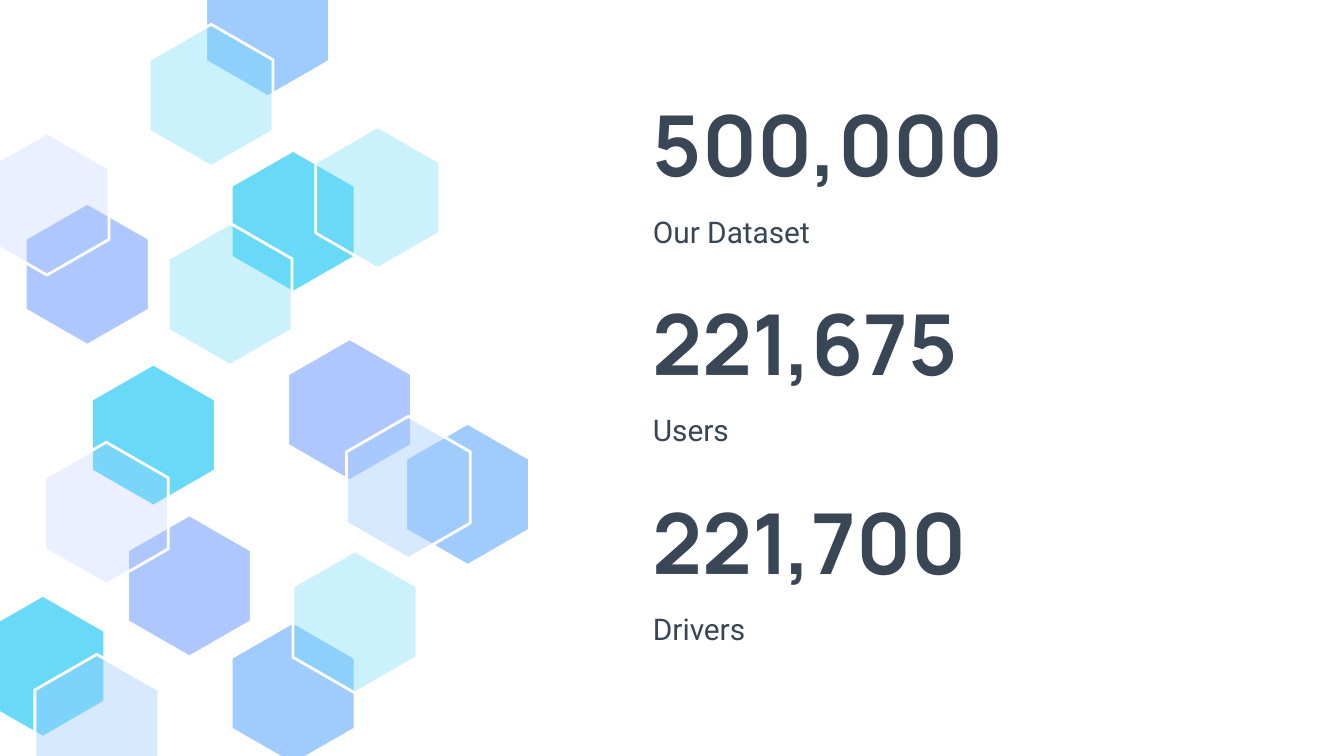
from collections import namedtuple

from lxml.etree import SubElement
from pptx import Presentation
from pptx.dml.color import RGBColor
from pptx.enum.text import MSO_ANCHOR as Anchor
from pptx.oxml.ns import qn
from pptx.util import Cm, Pt

WHITE = RGBColor(0xFF, 0xFF, 0xFF)
SLATE = RGBColor(0x38, 0x46, 0x55)
BLUE = RGBColor(0x9F, 0xCB, 0xFD)
PERIWINKLE = RGBColor(0xAF, 0xC7, 0xFF)
CYAN = RGBColor(0x68, 0xDA, 0xF8)

Box = namedtuple("Box", "left top width height")

# Opacity in percent of the see-through hexagons
TINTS = {BLUE: 41, PERIWINKLE: 25, CYAN: 34}
HEX_WIDTH, HEX_HEIGHT = 2.34, 2.69

# Left and top in cm, colour, see-through or not; from back to front
HEXAGONS = [
    (7.67, 8.00, BLUE, False),
    (4.37, 11.76, BLUE, False),
    (5.44, 6.40, PERIWINKLE, False),
    (0.48, 3.84, PERIWINKLE, False),
    (-0.28, 2.51, PERIWINKLE, True),
    (4.37, 2.84, CYAN, False),
    (6.55, 7.87, BLUE, True),
    (3.18, 4.22, CYAN, True),
    (1.73, 6.88, CYAN, False),
    (2.41, 9.73, PERIWINKLE, False),
    (3.89, -0.86, BLUE, False),
    (0.84, 8.36, PERIWINKLE, True),
    (2.82, 0.46, CYAN, True),
    (-0.36, 11.25, CYAN, False),
    (5.54, 10.41, CYAN, True),
    (5.97, 2.39, CYAN, True),
    (0.66, 12.37, BLUE, True),
]

FIGURES = [
    ("500,000", "Our Dataset"),
    ("221,675", "Users"),
    ("221,700", "Drivers"),
]


def add_hexagon(page, box, colour, see_through):
    middle, right = box.left + box.width / 2, box.left + box.width
    upper, lower = (box.top + box.height * part for part in (0.25, 0.75))
    corners = [
        (middle, box.top), (box.left, upper), (box.left, lower),
        (middle, box.top + box.height), (right, lower), (right, upper),
    ]
    points = [(Cm(x), Cm(y)) for x, y in corners]
    builder = page.shapes.build_freeform(*points[0])
    builder.add_line_segments(points[1:], close=True)
    hexagon = builder.convert_to_shape()
    hexagon.shadow.inherit = False
    hexagon.fill.solid()
    hexagon.fill.fore_color.rgb = colour
    hexagon.line.color.rgb = WHITE
    hexagon.line.width = Pt(1.5)
    if see_through:
        fill_colour = hexagon.fill._xPr.find(qn("a:solidFill"))[0]
        SubElement(fill_colour, qn("a:alpha"), val=str(TINTS[colour] * 1000))


def add_hexagon_field(page, box, hexagons):
    for left, top, colour, see_through in hexagons:
        place = Box(box.left + left, box.top + top, HEX_WIDTH, HEX_HEIGHT)
        add_hexagon(page, place, colour, see_through)


def add_text(page, box, text, font, size, bold=False, anchor=Anchor.TOP, spacing=1.0):
    frame = page.shapes.add_textbox(*map(Cm, box)).text_frame
    frame.word_wrap = True
    frame.vertical_anchor = anchor
    frame.margin_left = frame.margin_right = Cm(0.25)
    frame.margin_top = frame.margin_bottom = Cm(0.25)
    para = frame.paragraphs[0]
    para.text = text
    para.line_spacing = spacing
    span = para.runs[0]
    span.font.name = font
    span.font.size = Pt(size)
    span.font.bold = bold
    span.font.color.rgb = SLATE


def add_figures(page, box, figures):
    """Stack the numbers, each with its caption below, at an equal pitch."""
    number_height, caption_height, caption_offset = 2.13, 1.17, 1.9
    block_height = caption_offset + caption_height
    pitch = (box.height - block_height) / (len(figures) - 1)
    for index, (number, caption) in enumerate(figures):
        top = box.top + index * pitch
        add_text(page, Box(box.left, top, box.width, number_height),
                 number, "Manrope", 45, bold=True, anchor=Anchor.BOTTOM)
        add_text(page, Box(box.left, top + caption_offset, box.width, caption_height),
                 caption, "Roboto", 16, spacing=1.15)


def main():
    deck = Presentation()
    deck.slide_width, deck.slide_height = Cm(25.4), Cm(14.29)
    page = deck.slides.add_slide(deck.slide_layouts[6])
    page.background.fill.solid()
    page.background.fill.fore_color.rgb = WHITE
    add_hexagon_field(page, Box(0, 0, 10.01, 14.29), HEXAGONS)
    add_figures(page, Box(12.09, 1.78, 11.33, 10.59), FIGURES)
    deck.save("out.pptx")


if __name__ == "__main__":
    main()
